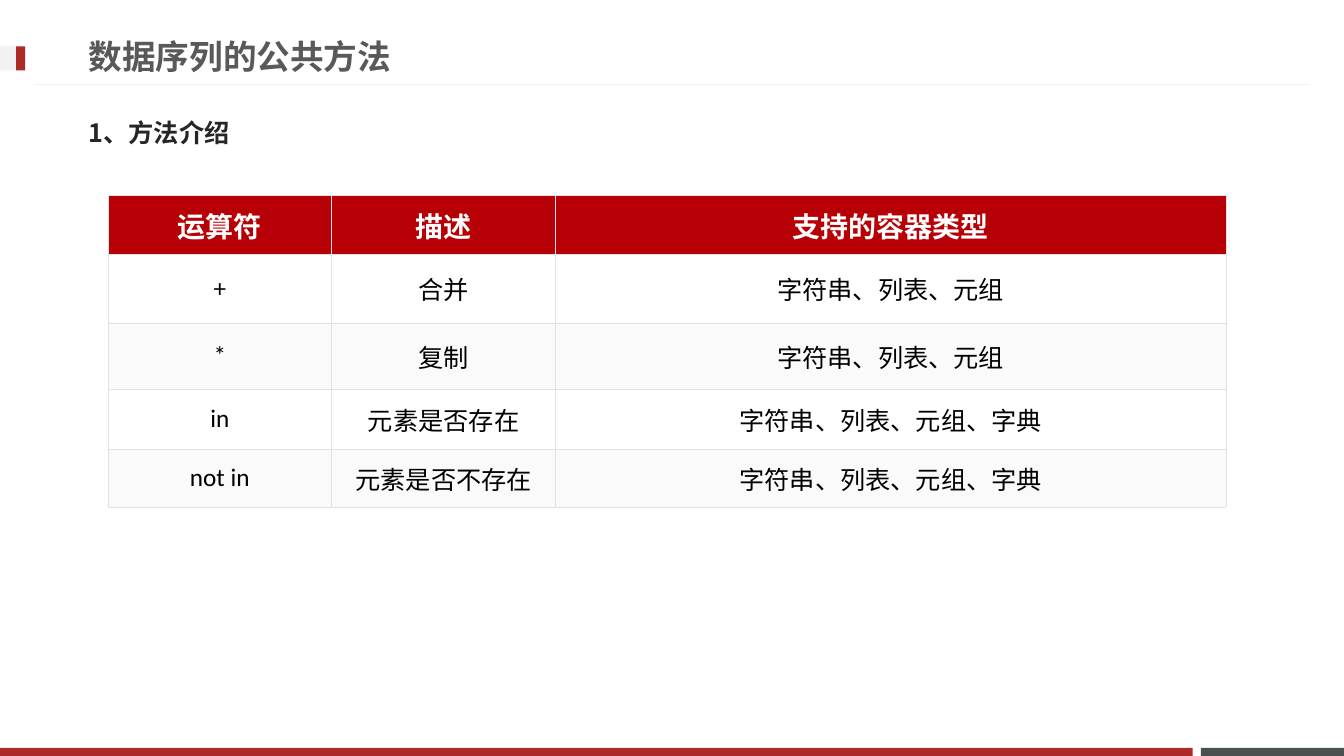
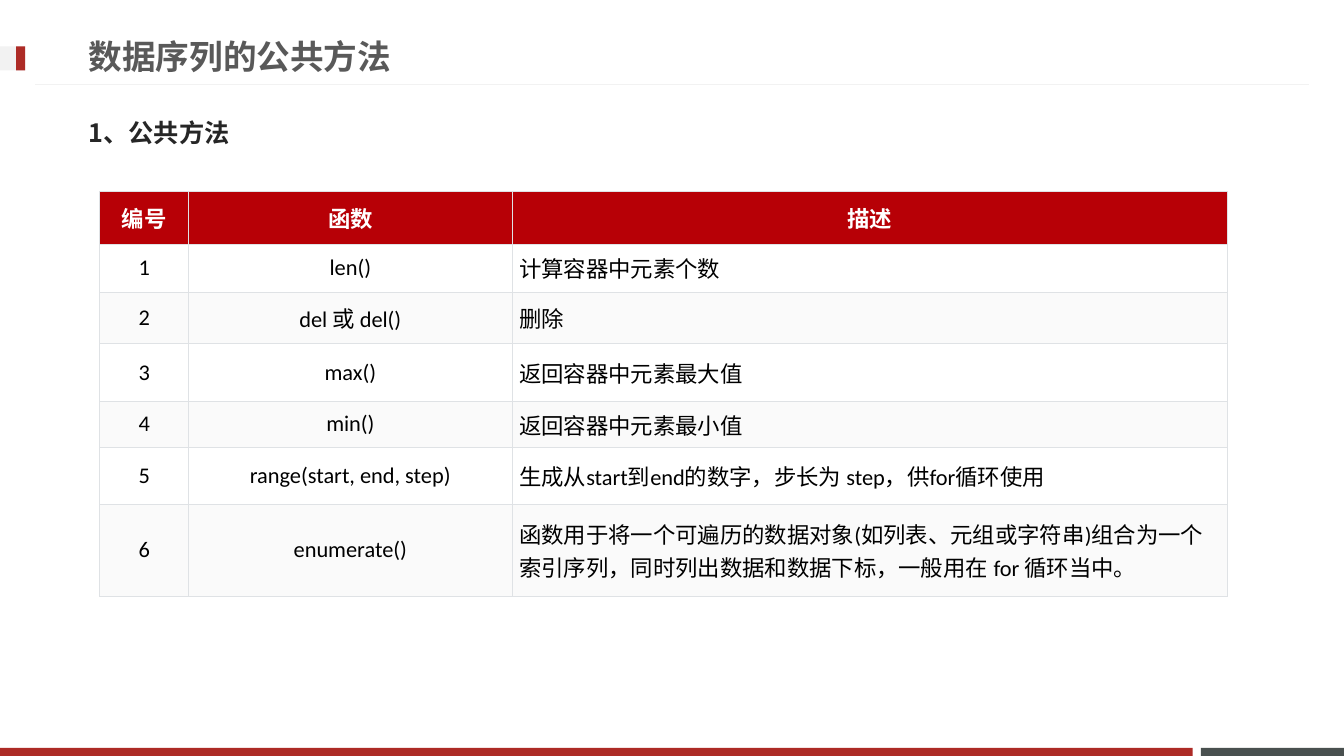
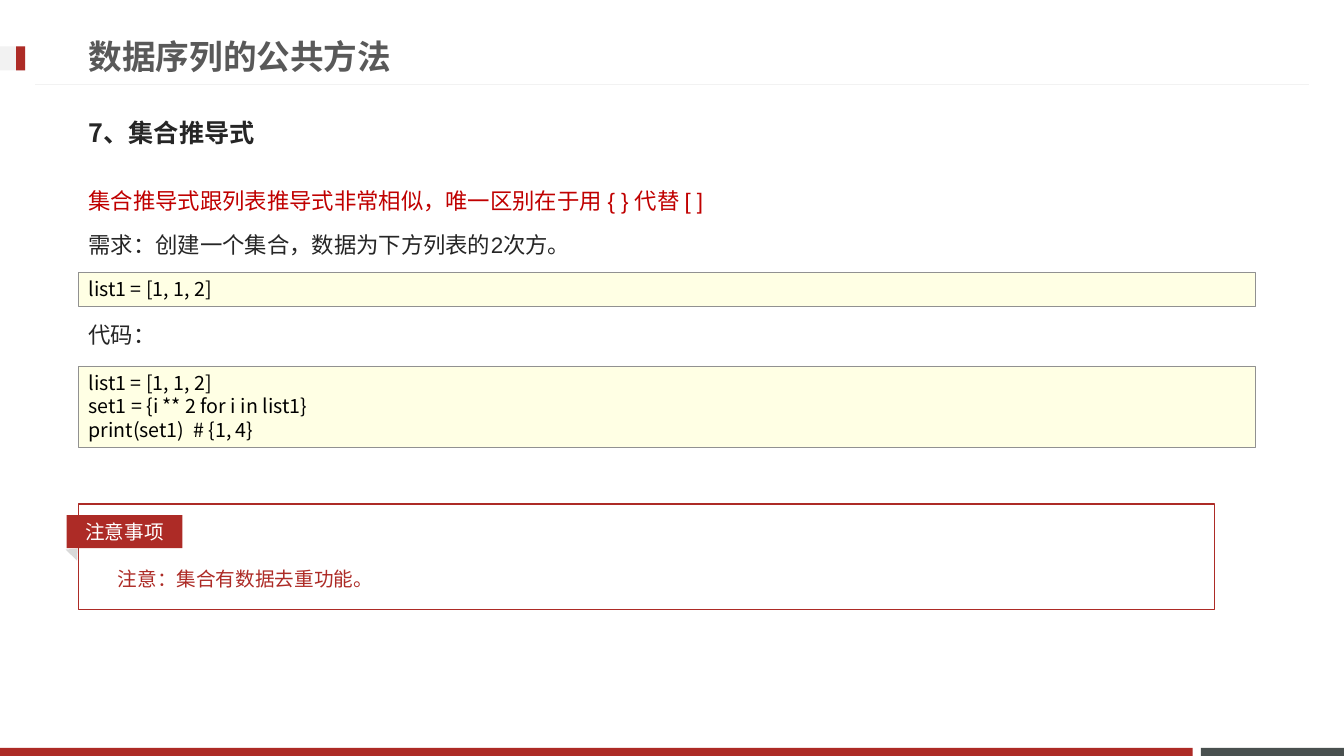
from dataclasses import dataclass

from lxml import etree
from pptx import Presentation
from pptx import util as u
from pptx.dml import color
from pptx.enum import shapes, text
from pptx.oxml import ns

RGB = color.RGBColor.from_string
IN = u.Inches
MID, TOP = text.MSO_ANCHOR.MIDDLE, text.MSO_ANCHOR.TOP
LEFT, CENTER = text.PP_ALIGN.LEFT, text.PP_ALIGN.CENTER


@dataclass(frozen=True)
class Style:
    size: float
    font: str
    color: str
    bold: bool = False


class Theme:
    red, slate, pale = "AD2B26", "49504F", "F2F2F2"
    fold, head, band, grid = "D9D9D9", "B70006", "FAFAFA", "DFE2E5"
    code_bg, code_rim = "FFFFE4", "919191"
    cjk = "Noto Sans CJK JP"
    title = Style(24, "Arial", "595959", True)
    topic = Style(18, cjk, "262626", True)
    body = Style(16, "Arial", "262626")
    key = Style(16, "Arial", "C00000")
    code = Style(14, cjk, "000000")
    note = Style(14, "Arial", red)
    tag = Style(14, "Arial", "FFFFFF")


def write(frame, lines, style, align=LEFT, anchor=TOP, gap=None, before=0):
    frame.word_wrap = True
    frame.auto_size = text.MSO_AUTO_SIZE.NONE
    frame.vertical_anchor = anchor
    frame.text = "\n".join(lines)
    for para in frame.paragraphs:
        para.alignment = align
        para.space_before = u.Pt(before)
        if gap:
            para.line_spacing = gap
        for run in para.runs:
            paint(run, style)


def paint(run, style):
    font = run.font
    font.size, font.bold, font.name = u.Pt(style.size), style.bold, style.font
    font.color.rgb = RGB(style.color)
    east = etree.Element(ns.qn("a:ea"), typeface=Theme.cjk)
    font._element.find(ns.qn("a:latin")).addnext(east)


def block(slide, box, fill=None, line=None, width=0.75, kind="RECTANGLE"):
    form = slide.shapes.add_shape(
        getattr(shapes.MSO_SHAPE, kind), *map(IN, box))
    form.shadow.inherit = False
    if fill:
        form.fill.solid()
        form.fill.fore_color.rgb = RGB(fill)
    else:
        form.fill.background()
    if line:
        form.line.color.rgb = RGB(line)
        form.line.width = u.Pt(width)
    else:
        form.line.fill.background()
    return form


def label(slide, box, lines, style, **opts):
    area = slide.shapes.add_textbox(*map(IN, box))
    write(area.text_frame, lines, style, **opts)
    return area


def rule(slide, start, end, tint):
    line = slide.shapes.add_connector(
        shapes.MSO_CONNECTOR.STRAIGHT, *map(IN, start + end))
    line.line.color.rgb = RGB(tint)
    line.line.width = u.Pt(0.75)
    etree.SubElement(line._element.spPr, ns.qn("a:effectLst"))


def page(deck, topic):
    """Add a slide with the shared bands, title and topic line."""
    slide = deck.slides.add_slide(deck.slide_layouts[5])
    block(slide, (11.91, 7.42, 1.42, 0.08), Theme.slate)
    block(slide, (0, 7.42, 11.83, 0.08), Theme.red)
    rule(slide, (12.98, 0.84), (0.35, 0.84), Theme.pale)
    block(slide, (0, 0.46, 0.25, 0.24), Theme.pale)
    block(slide, (0.16, 0.46, 0.09, 0.24), Theme.red)
    title = slide.shapes.title
    title.left, title.top, title.width, title.height = map(
        IN, (0.78, 0.27, 9.59, 0.57))
    write(title.text_frame, ["数据序列的公共方法"], Theme.title, anchor=MID)
    label(slide, (0.78, 1.03, 11.76, 0.57), [topic], Theme.topic, anchor=MID)
    return slide


def edge(cell):
    """Draw the grid line on all four sides of a cell."""
    props = cell._tc.get_or_add_tcPr()
    for spot, side in enumerate(("lnL", "lnR", "lnT", "lnB")):
        line = etree.Element(ns.qn("a:" + side), w=str(u.Pt(0.6)))
        fill = etree.SubElement(line, ns.qn("a:solidFill"))
        etree.SubElement(fill, ns.qn("a:srgbClr"), val=Theme.grid)
        props.insert(spot, line)


def grid(slide, spot, cols, highs, rows, sizes, pads, aligns):
    """Add a table; sizes holds the header and body type sizes."""
    table = slide.shapes.add_table(
        len(rows), len(cols), *map(IN, (*spot, sum(cols), sum(highs)))).table
    table.first_row = table.horz_banding = False
    for col, wide in zip(table.columns, cols):
        col.width = IN(wide)
    for row, high in zip(table.rows, highs):
        row.height = IN(high)
    header = Style(sizes[0], "Calibri", "FFFFFF", True)
    plain = Style(sizes[1], "Calibri", "000000")
    for r, row in enumerate(rows):
        for c, words in enumerate(row):
            cell = table.cell(r, c)
            cell.margin_left = cell.margin_right = IN(pads[0])
            cell.margin_top = cell.margin_bottom = IN(pads[1])
            cell.vertical_anchor = MID
            cell.text = words
            para = cell.text_frame.paragraphs[0]
            para.alignment = aligns[c] if r else CENTER
            paint(para.runs[0], plain if r else header)
            if r % 2:
                cell.fill.background()
            else:
                cell.fill.solid()
                cell.fill.fore_color.rgb = RGB(Theme.band if r else Theme.head)
            edge(cell)


def code(slide, top, high, lines):
    form = block(slide, (0.78, top, 11.67, high),
                 Theme.code_bg, Theme.code_rim, 0.25)
    write(form.text_frame, lines, Theme.code, gap=u.Pt(16.8))


def note(slide, words):
    """Add the framed remark with its folded tag."""
    fold = block(slide, (0.66, 5.43, 0.16, 0.09), Theme.fold,
                 kind="ISOSCELES_TRIANGLE")
    fold.rotation = 44.2
    label(slide, (1.07, 5.46, 10.69, 0.42), [words], Theme.note, gap=1.5)
    block(slide, (0.78, 5, 11.27, 1.05), line=Theme.red)
    tag = block(slide, (0.66, 5.11, 1.15, 0.33), Theme.red)
    write(tag.text_frame, ["注意事项"], Theme.tag, CENTER, MID)


def signs(deck):
    slide = page(deck, "1、方法介绍")
    basic = "字符串、列表、元组"
    rows = [
        ("运算符", "描述", "支持的容器类型"),
        ("+", "合并", basic),
        ("*", "复制", basic),
        ("in", "元素是否存在", basic + "、字典"),
        ("not in", "元素是否不存在", basic + "、字典"),
    ]
    grid(slide, (1.07, 1.94), (2.22, 2.22, 6.65),
         (0.58, 0.69, 0.65, 0.6, 0.57), rows, (20, 18), (0.11, 0.05),
         (CENTER, CENTER, CENTER))


def calls(deck):
    slide = page(deck, "1、公共方法")
    rows = [
        ("编号", "函数", "描述"),
        ("1", "len()", "计算容器中元素个数"),
        ("2", "del 或 del()", "删除"),
        ("3", "max()", "返回容器中元素最大值"),
        ("4", "min()", "返回容器中元素最小值"),
        ("5", "range(start, end, step)",
         "生成从start到end的数字，步长为 step，供for循环使用"),
        ("6", "enumerate()",
         "函数用于将一个可遍历的数据对象(如列表、元组或字符串)组合为一个索引序列，"
         "同时列出数据和数据下标，一般用在 for 循环当中。"),
    ]
    grid(slide, (0.99, 1.9), (0.88, 3.21, 7.09),
         (0.52, 0.48, 0.51, 0.57, 0.46, 0.56, 0.92), rows, (16, 16),
         (0.07, 0.03), (CENTER, CENTER, LEFT))


def sets(deck):
    slide = page(deck, "7、集合推导式")
    lines = [
        "集合推导式跟列表推导式非常相似，唯一区别在于用 { } 代替 [ ]",
        "需求：创建一个集合，数据为下方列表的2次方。",
        "代码：",
    ]
    area = label(slide, (0.78, 1.67, 11.76, 5.49), lines, Theme.body,
                 gap=1.5, before=3.2)
    first, _, last = area.text_frame.paragraphs
    first.runs[0].font.color.rgb = RGB(Theme.key.color)
    last.space_before = u.Pt(35.2)
    given = "list1 = [1, 1, 2]"
    code(slide, 2.7, 0.34, [given])
    code(slide, 3.63, 0.81, [
        given, "set1 = {i ** 2 for i in list1}", "print(set1)  # {1, 4}"])
    note(slide, "注意：集合有数据去重功能。")


def main():
    deck = Presentation()
    deck.slide_width, deck.slide_height = IN(13.33), IN(7.5)
    for build in (signs, calls, sets):
        build(deck)
    deck.save("out.pptx")


if __name__ == "__main__":
    main()
